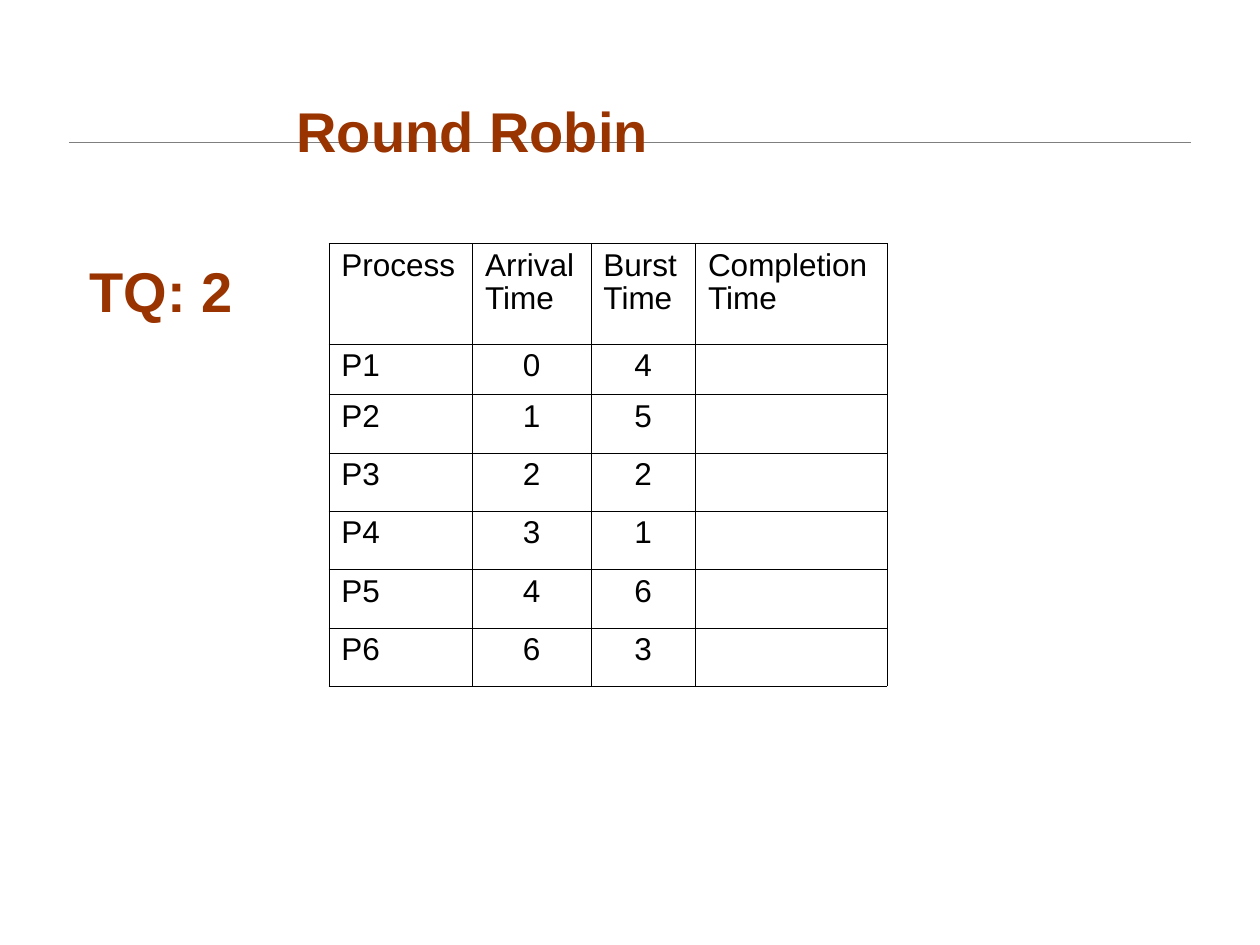
"""Build the Round Robin scheduling slide on a grid of 100 columns by 75 rows."""
from dataclasses import dataclass

import lxml.etree
import pptx
import pptx.dml.color
import pptx.enum.text
import pptx.oxml
import pptx.oxml.ns
import pptx.util

HUES = {"head": "993300", "text": "000000", "rule": "7F7F7F"}
FONT = "Arial"
COLS, ROWS = 100, 75
WIDE, HIGH = pptx.util.Inches(10), pptx.util.Inches(7.5)
CENTER = pptx.enum.text.PP_ALIGN.CENTER
LEFT = pptx.enum.text.PP_ALIGN.LEFT


@dataclass
class Label:
    text: str
    left: float
    top: float
    width: float
    height: float


@dataclass
class Job:
    name: str
    start: int
    burst: int


LABELS = [
    Label("Round Robin", 0, 6.4, 75, 7.1),
    Label("TQ: 2 ", 2.9, 19.1, 21, 7.1),
]
HEADS = ["Process", "Arrival Time", "Burst Time", "Completion Time"]
JOBS = [
    Job("P1", 0, 4),
    Job("P2", 1, 5),
    Job("P3", 2, 2),
    Job("P4", 3, 1),
    Job("P5", 4, 6),
    Job("P6", 6, 3),
]
SPANS = [11.4, 9.4, 8.3, 15.2]
RISES = [8, 4] + [4.63] * (len(JOBS) - 1)


def col(num: float) -> int:
    return round(WIDE * num / COLS)


def row(num: float) -> int:
    return round(HIGH * num / ROWS)


def hue(name: str) -> pptx.dml.color.RGBColor:
    return pptx.dml.color.RGBColor.from_string(HUES[name])


def style(para, size: float, name: str, bold: bool, align) -> None:
    para.alignment = align
    para.font.name = FONT
    para.font.size = pptx.util.Pt(size)
    para.font.bold = bold
    para.font.color.rgb = hue(name)


def add_label(slide, label: Label) -> None:
    box = slide.shapes.add_textbox(
        col(label.left), row(label.top), col(label.width), row(label.height)
    )
    frame = box.text_frame
    frame.word_wrap = True
    frame.vertical_anchor = pptx.enum.text.MSO_ANCHOR.BOTTOM
    para = frame.paragraphs[0]
    para.text = label.text
    style(para, 32, "head", True, CENTER)


def add_rule(slide, left: float, right: float, top: float) -> None:
    line = slide.shapes.add_connector(
        pptx.enum.shapes.MSO_CONNECTOR.STRAIGHT, col(left), row(top), col(right), row(top)
    )
    line.line.color.rgb = hue("rule")
    line.line.width = pptx.util.Pt(0.25)
    lxml.etree.SubElement(line._element.spPr, pptx.oxml.ns.qn("a:effectLst"))


def add_edges(cell) -> None:
    props = cell._tc.get_or_add_tcPr()
    for num, side in enumerate(("lnL", "lnR", "lnT", "lnB")):
        edge = pptx.oxml.parse_xml(
            f'<a:{side} {pptx.oxml.ns.nsdecls("a")} w="{pptx.util.Pt(0.11)}">'
            f'<a:solidFill><a:srgbClr val="{HUES["text"]}"/></a:solidFill></a:{side}>'
        )
        props.insert(num, edge)


def fill_cell(cell, text: str, align) -> None:
    cell.fill.background()
    add_edges(cell)
    para = cell.text_frame.paragraphs[0]
    para.text = text
    para.line_spacing = 0.94
    style(para, 18, "text", False, align)


def add_grid(slide, left: float, top: float) -> None:
    lines = [HEADS] + [[job.name, str(job.start), str(job.burst), ""] for job in JOBS]
    table = slide.shapes.add_table(
        len(lines), len(HEADS), col(left), row(top), col(sum(SPANS)), row(sum(RISES))
    ).table
    table.first_row = table.horz_banding = False
    for band, span in zip(table.columns, SPANS):
        band.width = col(span)
    for band, rise in zip(table.rows, RISES):
        band.height = row(rise)
    for down, line in enumerate(lines):
        for over, text in enumerate(line):
            align = CENTER if down and over else LEFT
            fill_cell(table.cell(down, over), text, align)


def main() -> None:
    deck = pptx.Presentation()
    deck.slide_width, deck.slide_height = WIDE, HIGH
    slide = deck.slides.add_slide(deck.slide_layouts[6])
    title, slice_label = LABELS
    add_rule(slide, 5.5, 94.5, 11.3)
    add_label(slide, title)
    add_grid(slide, 26.1, 19.3)
    add_label(slide, slice_label)
    deck.save("out.pptx")


if __name__ == "__main__":
    main()
